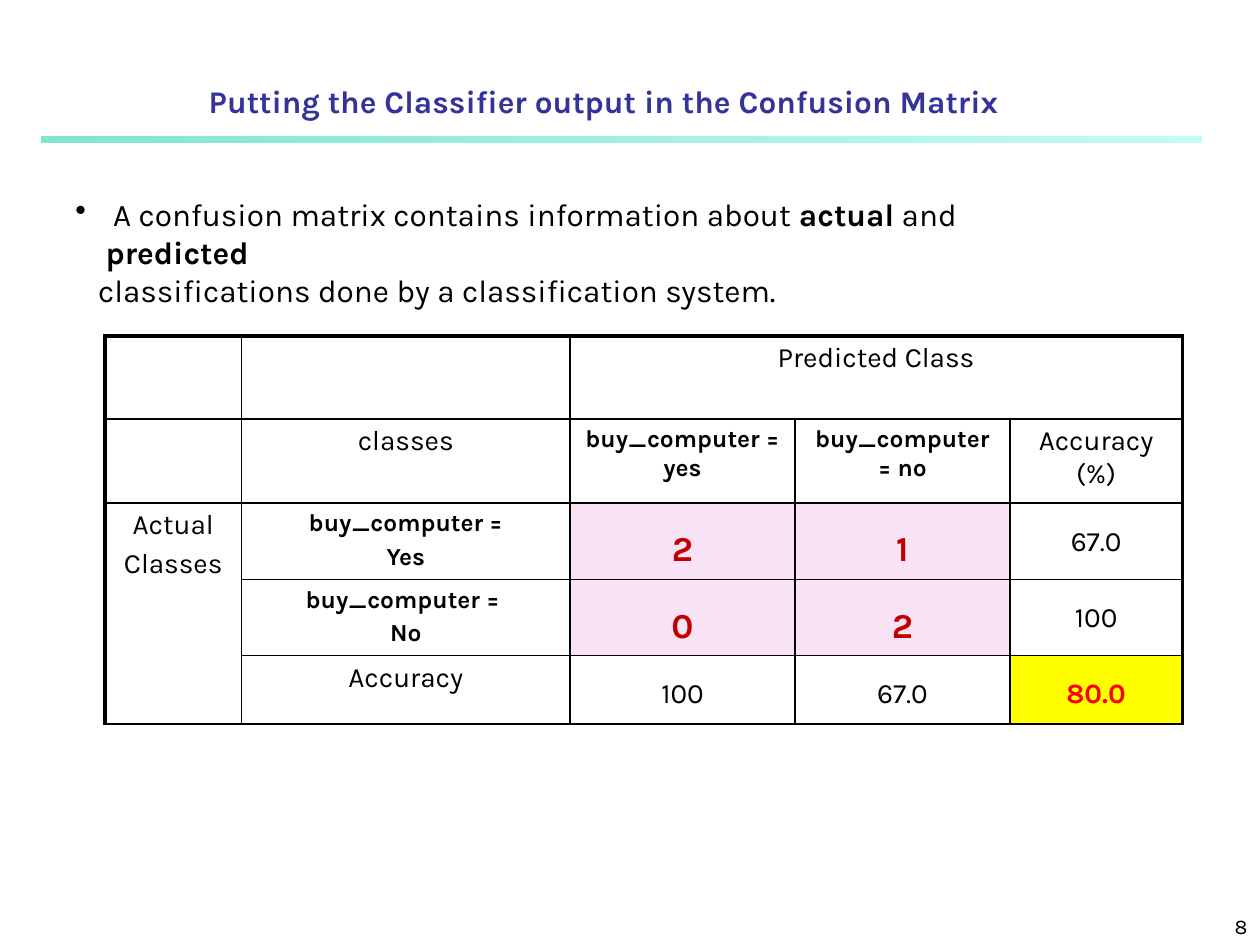
from lxml import etree
from pptx import Presentation
from pptx.dml.color import RGBColor
from pptx.enum import shapes, text
from pptx.oxml import ns
from pptx.util import Emu, Inches, Pt

COLORS = {"ink": "000000", "title": "333399", "rule_from": "00CE98", "rule_to": "8FF9EF",
          "count": "C00000", "count_bg": "FAE2F6", "total": "FF0000", "total_bg": "FFFF00"}
FONT = "Karla"
UNIT = Inches(10) / 120  # grid of 120 columns by 90 rows
CENTER = text.PP_ALIGN.CENTER


def grid(*units):
    return [Emu(round(n * UNIT)) for n in units]


def rgb(name):
    return RGBColor.from_string(COLORS[name])


def add_run(p, words, size, color="ink", bold=False):
    r = p.add_run()
    r.text = words
    r.font.name, r.font.size, r.font.bold = FONT, Pt(size), bold
    r.font.color.rgb = rgb(color)


def add_frame(slide, box, anchor=text.MSO_ANCHOR.TOP):
    tf = slide.shapes.add_textbox(*grid(*box)).text_frame
    tf.word_wrap = True
    tf.vertical_anchor = anchor
    return tf


def add_line(slide, box, size, words, align, color="ink", bold=False):
    p = add_frame(slide, box, text.MSO_ANCHOR.BOTTOM).paragraphs[0]
    p.alignment = align
    add_run(p, words, size, color, bold)


def add_rule(slide, box):
    sp = slide.shapes.add_shape(shapes.MSO_SHAPE.RECTANGLE, *grid(*box))
    sp.shadow.inherit = False
    sp.line.fill.background()
    sp.fill.gradient()
    sp.fill.gradient_angle = 0
    for stop, color in zip(sp.fill.gradient_stops, ("rule_from", "rule_to")):
        stop.color.rgb = rgb(color)
    for clr, alpha in zip(sp.fill._xPr.iter(ns.qn("a:srgbClr")), (50000, 52000)):
        etree.SubElement(clr, ns.qn("a:alpha"), val=str(alpha))


def add_body(slide, box):
    tf = add_frame(slide, box)
    tf.auto_size = text.MSO_AUTO_SIZE.SHAPE_TO_FIT_TEXT
    # Bulleted sentence with its key words in bold
    p = tf.paragraphs[0]
    hang = Inches(0.24)
    pPr = p._p.get_or_add_pPr()
    pPr.set("marL", str(hang))
    pPr.set("indent", str(-hang))
    etree.SubElement(pPr, ns.qn("a:buChar"), char="•")
    for words, bold in ((" A confusion matrix contains information about ", False),
                        ("actual", True), (" and ", False), ("predicted", True)):
        add_run(p, words, 18, bold=bold)
    # Second part, indented without a bullet
    p = tf.add_paragraph()
    p._p.get_or_add_pPr().set("marL", str(Inches(0.18)))
    add_run(p, "classifications done by a classification system.", 18)


# Cell styles: size, colour, bold, line spacing, fill
STYLES = {
    "label": (16, "ink", False, None, None),
    "class": (14, "ink", True, None, None),
    "count": (20, "count", True, 1.5, "count_bg"),
    "rate": (16, "ink", False, 1.5, None),
    "total": (16, "total", True, 1.5, "total_bg"),
}
EMPTY = ("label", "")
ROWS = [
    [EMPTY, EMPTY, ("label", "Predicted Class"), EMPTY, EMPTY],
    [EMPTY, ("label", "classes"), ("class", "buy_computer = yes"),
     ("class", "buy_computer = no"), ("label", "Accuracy (%)")],
    [("label", "Actual\nClasses"), ("class", "buy_computer =\nYes"),
     ("count", "2"), ("count", "1"), ("rate", "67.0")],
    [EMPTY, ("class", "buy_computer = \nNo"), ("count", "0"), ("count", "2"), ("rate", "100")],
    [EMPTY, ("label", "Accuracy"), ("rate", "100"), ("rate", "67.0"), ("total", "80.0")],
]
COL_WIDTHS = (13, 31.3, 21.4, 20.5, 16.4)
ROW_HEIGHTS = (7.9, 8, 7.1, 7.1, 6.5)


def set_borders(cell, widths):
    tcPr = cell._tc.get_or_add_tcPr()
    for i, (side, width) in enumerate(zip("LRTB", widths)):
        ln = etree.Element(ns.qn(f"a:ln{side}"), w=str(Pt(width)))
        fill = etree.SubElement(ln, ns.qn("a:solidFill"))
        etree.SubElement(fill, ns.qn("a:srgbClr"), val=COLORS["ink"])
        tcPr.insert(i, ln)


def fill_cell(cell, style, words):
    size, color, bold, spacing, fill = STYLES[style]
    if fill:
        cell.fill.solid()
        cell.fill.fore_color.rgb = rgb(fill)
    else:
        cell.fill.background()
    if not words:
        return
    tf = cell.text_frame
    for i, line in enumerate(words.split("\n")):
        p = tf.add_paragraph() if i else tf.paragraphs[0]
        p.alignment = CENTER
        p.space_before = Pt(size * 0.2)
        if spacing:
            p.line_spacing = spacing
        add_run(p, line, size, color, bold)


def add_matrix(slide, left, top):
    box = grid(left, top, sum(COL_WIDTHS), sum(ROW_HEIGHTS))
    table = slide.shapes.add_table(len(ROWS), len(COL_WIDTHS), *box).table
    table.first_row = table.horz_banding = False
    for col, width in zip(table.columns, grid(*COL_WIDTHS)):
        col.width = width
    for row, height in zip(table.rows, grid(*ROW_HEIGHTS)):
        row.height = height
    # Heavy outline on the left, right and top; thin lines elsewhere
    last = len(COL_WIDTHS) - 1
    for r, row in enumerate(ROWS):
        for c, (style, words) in enumerate(row):
            cell = table.cell(r, c)
            fill_cell(cell, style, words)
            right_edge = c == last or (r == 0 and c == 2)
            set_borders(cell, [2.25 if heavy else 1
                               for heavy in (c == 0, right_edge, r == 0, False)])
    table.cell(0, 2).merge(table.cell(0, 4))
    table.cell(2, 0).merge(table.cell(4, 0))


def main():
    prs = Presentation()
    prs.slide_width, prs.slide_height = grid(120, 90)
    slide = prs.slides.add_slide(prs.slide_layouts[6])
    add_rule(slide, (4, 13, 110.4, 0.6))
    add_line(slide, (95, 85, 25, 5), 12, "8", text.PP_ALIGN.RIGHT)
    add_line(slide, (0, 5, 115, 7), 18, "Putting the Classifier output in the Confusion Matrix",
             CENTER, "title", True)
    add_matrix(slide, 10, 32)
    add_body(slide, (6, 18, 100, 8.5))
    prs.save("out.pptx")


if __name__ == "__main__":
    main()
